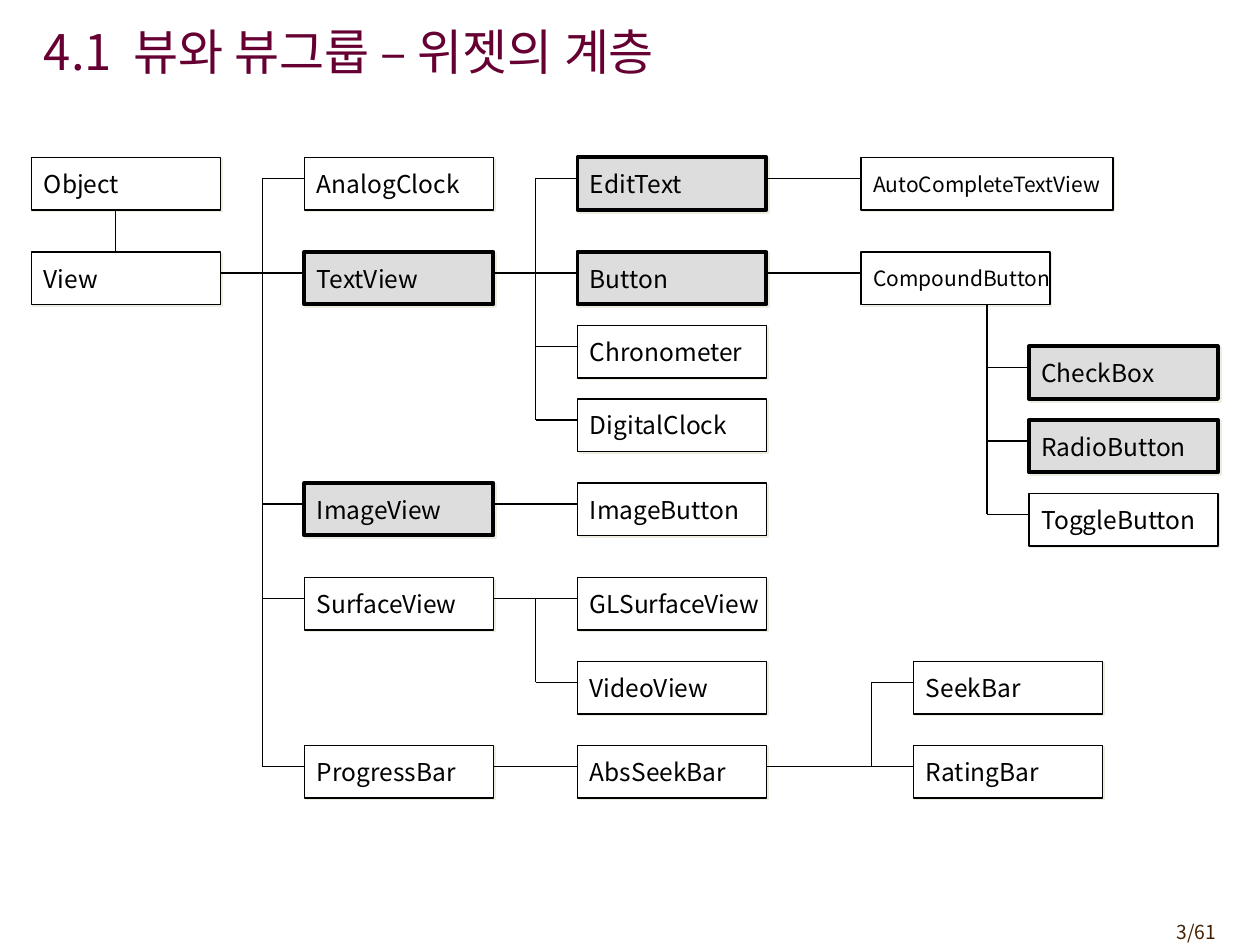
import pptx
import pptx.dml.color
import pptx.enum.shapes
import pptx.enum.text
import pptx.oxml
import pptx.oxml.ns
import pptx.util

RGBColor = pptx.dml.color.RGBColor
BLACK = RGBColor(0x00, 0x00, 0x00)
WHITE = RGBColor(0xFF, 0xFF, 0xFF)
GREY = RGBColor(0xDD, 0xDD, 0xDD)
PLUM = RGBColor(0x66, 0x00, 0x33)
BROWN = RGBColor(0x45, 0x21, 0x03)

FONT = "Noto Sans CJK KR"
ALIGN = pptx.enum.text.PP_ALIGN
MIDDLE = pptx.enum.text.MSO_ANCHOR.MIDDLE
WIDTH, HEIGHT = pptx.util.Inches(10), pptx.util.Inches(7.5)
CELL = WIDTH // 120  # the diagram sits on a grid of 120 columns
BOX_WIDTH, BOX_HEIGHT, PORT = 18, 5, 2  # PORT: rows from box top to its line

# class name: column, row
BOXES = {
    "Object": (3, 15), "View": (3, 24),
    "AnalogClock": (29, 15), "TextView": (29, 24), "ImageView": (29, 46),
    "SurfaceView": (29, 55), "ProgressBar": (29, 71),
    "EditText": (55, 15), "Button": (55, 24), "Chronometer": (55, 31),
    "DigitalClock": (55, 38), "ImageButton": (55, 46),
    "GLSurfaceView": (55, 55), "VideoView": (55, 63), "AbsSeekBar": (55, 71),
    "AutoCompleteTextView": (82, 15), "CompoundButton": (82, 24),
    "CheckBox": (98, 33), "RadioButton": (98, 40), "ToggleButton": (98, 47),
    "SeekBar": (87, 63), "RatingBar": (87, 71),
}
WIDE = {"AutoCompleteTextView": 24}
SMALL = {"AutoCompleteTextView", "CompoundButton"}
KEY = {"TextView", "ImageView", "EditText", "Button", "CheckBox", "RadioButton"}

# parent, trunk column, children
BRANCHES = [
    ("View", 25, ["AnalogClock", "TextView", "ImageView", "SurfaceView", "ProgressBar"]),
    ("TextView", 51, ["EditText", "Button", "Chronometer", "DigitalClock"]),
    ("SurfaceView", 51, ["GLSurfaceView", "VideoView"]),
    ("AbsSeekBar", 83, ["SeekBar", "RatingBar"]),
]
DIRECT = [("EditText", "AutoCompleteTextView"), ("Button", "CompoundButton"),
          ("ImageView", "ImageButton"), ("ProgressBar", "AbsSeekBar")]

SHADOW = (
    f'<a:outerShdw {pptx.oxml.ns.nsdecls("a")} blurRad="0" dist="17780" dir="2700000"'
    ' algn="ctr" rotWithShape="0"><a:srgbClr val="EEECE1"/></a:outerShdw>'
)


def apply(target, **values):
    for name, value in values.items():
        setattr(target, name, value)


def add_span(para, words, size, color):
    span = para.add_run()
    span.text = words
    apply(span.font, name=FONT, size=pptx.util.Pt(size))
    span.font.color.rgb = color
    properties = span.font._element
    east_asian = pptx.oxml.parse_xml(
        f'<a:ea {pptx.oxml.ns.nsdecls("a")} typeface="{FONT}"/>')
    properties.find(pptx.oxml.ns.qn("a:latin")).addnext(east_asian)
    return span


def add_title(page):
    box = page.shapes.add_textbox(
        int(WIDTH * 0.025), int(HEIGHT * 0.012), int(WIDTH * 0.827), int(HEIGHT * 0.084))
    apply(box.text_frame, word_wrap=True, vertical_anchor=MIDDLE)
    para = box.text_frame.paragraphs[0]
    add_span(para, "4.1", 28, PLUM)
    gap = add_span(para, " ", 28, PLUM)
    gap.font._element.set("spc", "630")  # widens the gap after the number
    add_span(para, "뷰와 뷰그룹 – 위젯의 계층", 28, PLUM)


def add_page_number(page):
    box = page.shapes.add_textbox(
        int(WIDTH * 0.892), int(HEIGHT * 0.967), int(WIDTH * 0.083), int(HEIGHT * 0.039))
    box.text_frame.word_wrap = True
    para = box.text_frame.paragraphs[0]
    para.alignment = ALIGN.RIGHT
    add_span(para, "3/61", 11, BROWN)


def add_class_box(page, name):
    column, row = BOXES[name]
    box = page.shapes.add_shape(
        pptx.enum.shapes.MSO_SHAPE.RECTANGLE, column * CELL, row * CELL,
        WIDE.get(name, BOX_WIDTH) * CELL, BOX_HEIGHT * CELL)
    box.fill.solid()
    box.fill.fore_color.rgb = GREY if name in KEY else WHITE
    box.line.color.rgb = BLACK
    box.line.width = pptx.util.Pt(2.25 if name in KEY else 0.75)
    box.shadow.inherit = False
    effects = box._element.spPr.find(pptx.oxml.ns.qn("a:effectLst"))
    effects.append(pptx.oxml.parse_xml(SHADOW))
    apply(box.text_frame, word_wrap=False, vertical_anchor=MIDDLE)
    para = box.text_frame.paragraphs[0]
    para.alignment = ALIGN.LEFT
    add_span(para, name, 12 if name in SMALL else 14, BLACK)


def add_line(page, start, end):
    line = page.shapes.add_connector(
        pptx.enum.shapes.MSO_CONNECTOR.STRAIGHT, *(step * CELL for step in start + end))
    line.line.color.rgb = BLACK
    line.line.width = pptx.util.Pt(0.75)
    line._element.spPr.append(
        pptx.oxml.parse_xml(f'<a:effectLst {pptx.oxml.ns.nsdecls("a")}/>'))


def left_port(name):
    column, row = BOXES[name]
    return column, row + PORT


def right_port(name):
    column, row = left_port(name)
    return column + BOX_WIDTH, row


def add_branch(page, start, trunk, children):
    """Draw a trunk from the start point with a twig to each child."""
    if start[0] != trunk:
        add_line(page, start, (trunk, start[1]))
    ports = [left_port(child) for child in children]
    rows = [start[1]] + [row for _, row in ports]
    add_line(page, (trunk, min(rows)), (trunk, max(rows)))
    for port in ports:
        add_line(page, (trunk, port[1]), port)


def main():
    deck = pptx.Presentation()
    apply(deck, slide_width=WIDTH, slide_height=HEIGHT)
    page = deck.slides.add_slide(deck.slide_layouts[6])
    add_page_number(page)
    add_title(page)
    for name in BOXES:
        add_class_box(page, name)
    for parent, trunk, children in BRANCHES:
        add_branch(page, right_port(parent), trunk, children)
    for parent, child in DIRECT:
        add_line(page, right_port(parent), left_port(child))
    add_line(page, (11, BOXES["Object"][1] + BOX_HEIGHT), (11, BOXES["View"][1]))
    add_branch(page, (94, BOXES["CompoundButton"][1] + BOX_HEIGHT), 94,
               ["CheckBox", "RadioButton", "ToggleButton"])
    deck.save("out.pptx")


if __name__ == "__main__":
    main()
